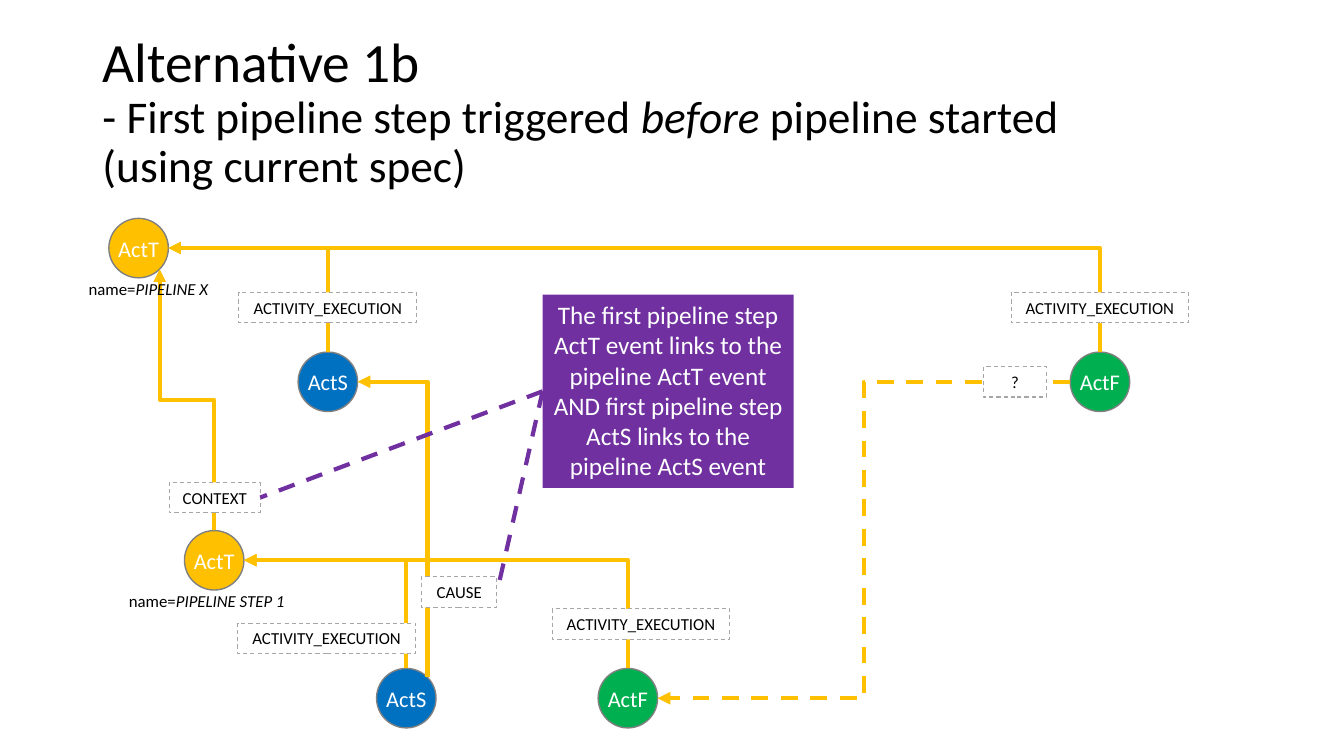
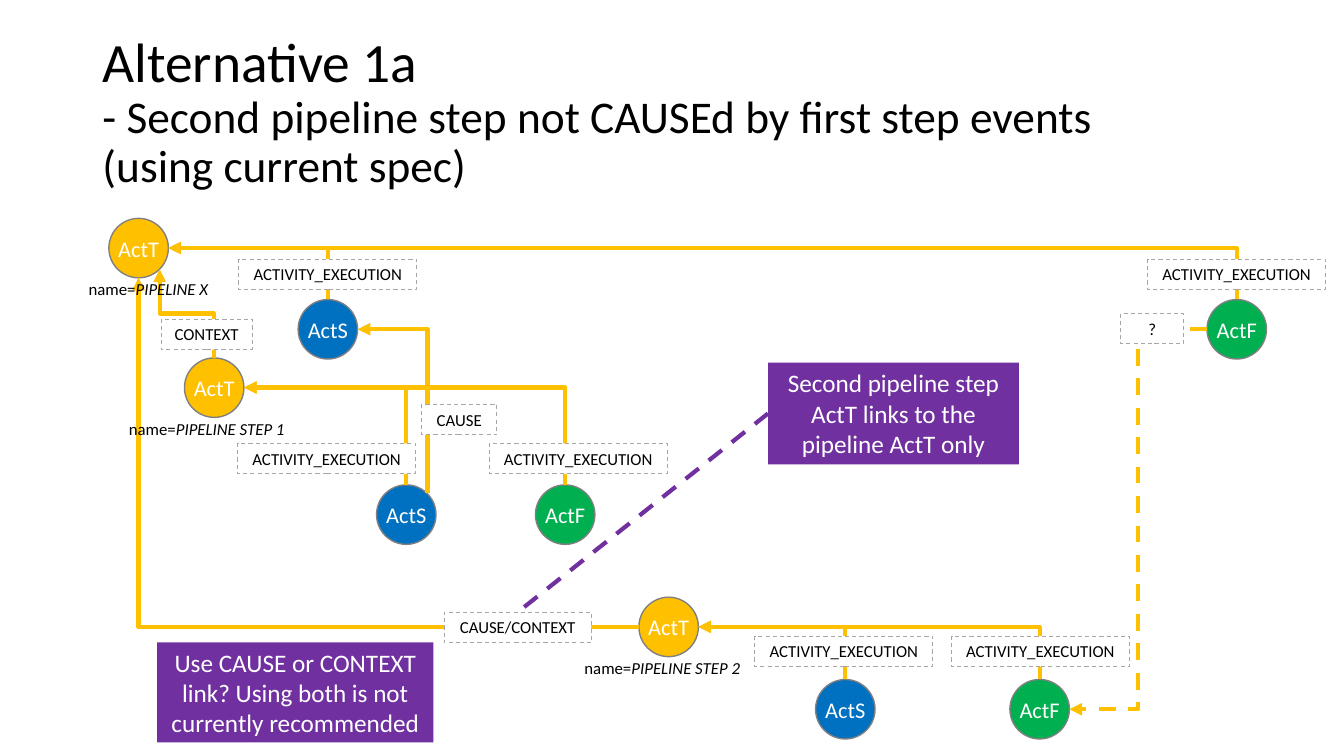
from dataclasses import dataclass
from typing import Any, NamedTuple

from lxml import etree
from pptx import Presentation
from pptx.dml.color import RGBColor
from pptx.enum.dml import MSO_LINE
from pptx.enum.shapes import MSO_CONNECTOR, MSO_SHAPE
from pptx.enum.text import MSO_ANCHOR, MSO_AUTO_SIZE, PP_ALIGN
from pptx.oxml.ns import qn
from pptx.util import Pt

CIRCLE, RECTANGLE = MSO_SHAPE.FLOWCHART_CONNECTOR, MSO_SHAPE.RECTANGLE
ELBOW, STRAIGHT = MSO_CONNECTOR.ELBOW, MSO_CONNECTOR.STRAIGHT
DASH = MSO_LINE.DASH
TOP_ANCHOR, MIDDLE = MSO_ANCHOR.TOP, MSO_ANCHOR.MIDDLE
CENTER, LEFT_ALIGN = PP_ALIGN.CENTER, PP_ALIGN.LEFT
FIT_SHAPE, FIXED = MSO_AUTO_SIZE.SHAPE_TO_FIT_TEXT, MSO_AUTO_SIZE.NONE

COLORS = {
    "ActT": "FFC000",
    "ActS": "0070C0",
    "ActF": "00B050",
    "link": "FFC000",
    "callout": "7030A0",
    "node edge": "808080",
    "label edge": "A6A6A6",
    "light": "FFFFFF",
    "dark": "000000",
}
FONT = "Calibri"
NODE_FRAME = {
    "margin_left": 0, "margin_right": 0, "margin_top": 0, "margin_bottom": 0,
    "vertical_anchor": MIDDLE, "word_wrap": False, "auto_size": FIXED,
}
BOX_FRAME = {"vertical_anchor": TOP_ANCHOR, "word_wrap": True, "auto_size": FIT_SHAPE}
CAPTION_FRAME = {"word_wrap": False, "auto_size": FIT_SHAPE}
TITLE_FRAME = {"vertical_anchor": MIDDLE, "word_wrap": True, "auto_size": FIXED}
TITLE_BOX = {"left": Pt(66), "top": Pt(28.75), "width": Pt(828), "height": Pt(104.4)}

DIAMETER = 42.5
LABEL_HEIGHT = 21.8
LINK_WIDTH = 3
HEADING_SIZE, SUBHEADING_SIZE = 39.6, 32.4
LABEL_WIDTHS = {
    "ACTIVITY_EXECUTION": 127,
    "CONTEXT": 65,
    "CAUSE": 54,
    "CAUSE/CONTEXT": 105,
    "?": 45,
}
TOP, LEFT, BOTTOM, BOTTOM_RIGHT, RIGHT, TOP_RIGHT = 0, 2, 4, 5, 6, 7
DIAGONAL = 0.71
SITE_OFFSETS = {
    TOP: (0, -1),
    LEFT: (-1, 0),
    BOTTOM: (0, 1),
    BOTTOM_RIGHT: (DIAGONAL, DIAGONAL),
    RIGHT: (1, 0),
    TOP_RIGHT: (DIAGONAL, -DIAGONAL),
}
BOX_TOP, BOX_LEFT, BOX_RIGHT = 0, 1, 3


class Point(NamedTuple):
    x: float
    y: float


class End(NamedTuple):
    activity: str
    event: str
    site: int


class Run(NamedTuple):
    text: str
    size: float
    italic: bool = False


@dataclass
class Activity:
    name: str
    caption_x: float
    caption_width: float
    events: dict[str, Point]
    labels: list[Point]


@dataclass
class Link:
    source: End
    target: End
    label: str
    label_at: Point
    dashed: bool = False


@dataclass
class Callout:
    text: str
    at: Point
    width: float
    height: float
    pointers: list[tuple[str, int]]


@dataclass
class Scenario:
    title: list[list[Run]]
    activities: list[Activity]
    links: list[Link]
    callouts: list[Callout]


def rgb(name: str) -> RGBColor:
    return RGBColor.from_string(COLORS[name])


def apply(target: Any, values: dict[str, Any]) -> None:
    for attribute, value in values.items():
        setattr(target, attribute, value)


def add_run(paragraph: Any, text: str, size: float, color: str, italic: bool = False) -> None:
    run = paragraph.add_run()
    run.text = text
    apply(run.font, {"name": FONT, "size": Pt(size), "italic": italic})
    run.font.color.rgb = rgb(color)


def add_title(slide: Any, lines: list[list[Run]]) -> None:
    frame = slide.shapes.title.text_frame
    apply(frame, TITLE_FRAME)
    paragraph = frame.paragraphs[0]
    apply(paragraph, {"alignment": LEFT_ALIGN, "line_spacing": 0.9})
    for number, line in enumerate(lines):
        for run in line:
            add_run(paragraph, run.text, run.size, "dark", run.italic)
        if number < len(lines) - 1:
            paragraph.add_line_break()
            size = str(round(line[-1].size * 100))
            etree.SubElement(frame._txBody.findall(".//" + qn("a:br"))[-1], qn("a:rPr"), sz=size)


def add_filled(slide: Any, kind: Any, at: Point, width: float, height: float, fill: str,
               frame: dict[str, Any], text: str, size: float, color: str) -> Any:
    shape = slide.shapes.add_shape(kind, Pt(at.x), Pt(at.y), Pt(width), Pt(height))
    shape.shadow.inherit = False
    shape.fill.solid()
    shape.fill.fore_color.rgb = rgb(fill)
    shape.line.fill.background()
    apply(shape.text_frame, frame)
    paragraph = shape.text_frame.paragraphs[0]
    paragraph.alignment = CENTER
    add_run(paragraph, text, size, color)
    return shape


def set_line(shape: Any, color: str, width: float, dashed: bool = False) -> None:
    shape.line.color.rgb = rgb(color)
    shape.line.width = Pt(width)
    if dashed:
        shape.line.dash_style = DASH


def add_node(slide: Any, event: str, center: Point) -> Any:
    corner = Point(center.x - DIAMETER / 2, center.y - DIAMETER / 2)
    node = add_filled(slide, CIRCLE, corner, DIAMETER, DIAMETER, event, NODE_FRAME, event, 16, "light")
    set_line(node, "node edge", 1)
    return node


def add_label(slide: Any, text: str, center: Point) -> Any:
    width = LABEL_WIDTHS[text]
    corner = Point(center.x - width / 2, center.y - LABEL_HEIGHT / 2)
    label = add_filled(slide, RECTANGLE, corner, width, LABEL_HEIGHT, "light", BOX_FRAME, text, 12, "dark")
    set_line(label, "label edge", 0.75, True)
    return label


def add_caption(slide: Any, activity: Activity) -> None:
    top = activity.events["ActT"].y + 18.4
    caption = slide.shapes.add_textbox(
        Pt(activity.caption_x), Pt(top), Pt(activity.caption_width), Pt(LABEL_HEIGHT))
    apply(caption.text_frame, CAPTION_FRAME)
    paragraph = caption.text_frame.paragraphs[0]
    add_run(paragraph, "name=", 12, "dark")
    add_run(paragraph, activity.name, 12, "dark", True)


def add_elbow(slide: Any, nodes: dict, centers: dict, source: End, target: End, dashed: bool = False) -> None:
    start, finish = [
        Point(*(c + DIAMETER / 2 * offset
                for c, offset in zip(centers[end[:2]], SITE_OFFSETS[end.site])))
        for end in (source, target)
    ]
    vertical = source.site in (TOP, TOP_RIGHT)
    width, height = abs(finish.x - start.x), abs(finish.y - start.y)
    if vertical:
        width, height = height, width
    left = (start.x + finish.x - width) / 2
    top = (start.y + finish.y - height) / 2
    first_y, last_y = top, top + height
    if vertical or finish.y > start.y:
        first_y, last_y = last_y, first_y
    link = slide.shapes.add_connector(ELBOW, Pt(left), Pt(first_y), Pt(left + width), Pt(last_y))
    properties = link.element.spPr
    properties.find(qn("a:xfrm")).set("rot", str((270 if vertical else 180) * 60000))
    one_corner = vertical == (target.site == RIGHT)
    properties.find(qn("a:prstGeom")).set("prst", "bentConnector2" if one_corner else "bentConnector3")
    set_line(link, "link", LINK_WIDTH, dashed)
    etree.SubElement(properties.find(qn("a:ln")), qn("a:tailEnd"), type="triangle")
    etree.SubElement(properties, qn("a:effectLst"))
    glue = link.element.nvCxnSpPr.cNvCxnSpPr
    for tag, end in (("a:stCxn", source), ("a:endCxn", target)):
        etree.SubElement(glue, qn(tag), id=str(nodes[end[:2]].shape_id), idx=str(end.site))


def add_callout(slide: Any, callout: Callout, labels: dict) -> None:
    box = add_filled(slide, RECTANGLE, callout.at, callout.width, callout.height,
                     "callout", BOX_FRAME, callout.text, 18, "light")
    for label, site in callout.pointers:
        pointer = slide.shapes.add_connector(STRAIGHT, 0, 0, 0, 0)
        pointer.begin_connect(box, BOX_LEFT)
        pointer.end_connect(labels[label], site)
        set_line(pointer, "callout", LINK_WIDTH, True)
        etree.SubElement(pointer.element.spPr, qn("a:effectLst"))


def build_slide(deck: Any, layout: Any, scenario: Scenario) -> None:
    slide = deck.slides.add_slide(layout)
    add_title(slide, scenario.title)
    centers = {(activity.name, event): center
               for activity in scenario.activities for event, center in activity.events.items()}
    nodes = {key: add_node(slide, key[1], center) for key, center in centers.items()}
    for activity in scenario.activities:
        for event in ("ActF", "ActS"):
            add_elbow(slide, nodes, centers, End(activity.name, event, TOP), End(activity.name, "ActT", RIGHT))
    for link in scenario.links:
        add_elbow(slide, nodes, centers, link.source, link.target, link.dashed)
    for activity in scenario.activities:
        add_caption(slide, activity)
        for center in activity.labels:
            add_label(slide, "ACTIVITY_EXECUTION", center)
    labels = {link.label: add_label(slide, link.label, link.label_at) for link in scenario.links}
    for callout in scenario.callouts:
        add_callout(slide, callout, labels)


def events(trigger: Point, start: Point, finish: Point) -> dict[str, Point]:
    return {"ActT": trigger, "ActS": start, "ActF": finish}


def shared_activities(start_y: float, finish_x: float, label_y: float, step_y: float,
                      step_end_y: float, step_finish_x: float,
                      step_label_ys: tuple[float, float]) -> list[Activity]:
    return [
        Activity(PIPELINE, 56.2, 101,
                 events(Point(99, 177.2), Point(234.2, start_y), Point(finish_x, start_y)),
                 [Point(234.2, label_y), Point(finish_x, label_y)]),
        Activity(STEP_1, 85, 127.4,
                 events(Point(153, step_y), Point(290.2, step_end_y), Point(step_finish_x, step_end_y)),
                 [Point(233.4, step_label_ys[0]), Point(step_finish_x + 9.4, step_label_ys[1])]),
    ]


def shared_links(context_at: Point, cause_at: Point, unknown_at: Point, last_step: str) -> list[Link]:
    return [
        Link(End(STEP_1, "ActT", TOP), End(PIPELINE, "ActT", BOTTOM_RIGHT), "CONTEXT", context_at),
        Link(End(PIPELINE, "ActF", LEFT), End(last_step, "ActF", RIGHT), "?", unknown_at, True),
        Link(End(STEP_1, "ActS", TOP_RIGHT), End(PIPELINE, "ActS", RIGHT), "CAUSE", cause_at),
    ]


PIPELINE, STEP_1, STEP_2 = "PIPELINE X", "PIPELINE STEP 1", "PIPELINE STEP 2"
SPEC_LINE = [Run("(using current spec)", SUBHEADING_SIZE)]
SCENARIOS = [
    Scenario(
        [[Run("Alternative 1b", HEADING_SIZE)],
         [Run("- First pipeline step triggered ", SUBHEADING_SIZE), Run("before", SUBHEADING_SIZE, True),
          Run(" pipeline started", SUBHEADING_SIZE)], SPEC_LINE],
        shared_activities(272.7, 785.7, 219.8, 400.2, 498.7, 448.5, (456, 445.8)),
        shared_links(Point(153.4, 355.4), Point(328, 423), Point(725, 272.7), STEP_1),
        [Callout("The first pipeline step ActT event links to the pipeline ActT event AND first "
                 "pipeline step ActS links to the pipeline ActS event",
                 Point(387.6, 210.4), 179.3, 138.2, [("CONTEXT", BOX_RIGHT), ("CAUSE", BOX_RIGHT)])],
    ),
    Scenario(
        [[Run("Alternative 1a", HEADING_SIZE)],
         [Run("- Second pipeline step not CAUSEd by first step events", SUBHEADING_SIZE)], SPEC_LINE],
        shared_activities(235.2, 883.4, 196, 276.9, 367.6, 403.7, (327.6, 327.6)) + [
            Activity(STEP_2, 410.4, 127.4,
                     events(Point(477.6, 447.8), Point(603.8, 506.6), Point(742.6, 506.6)),
                     [Point(602.8, 465.2), Point(743.2, 465.2)])],
        shared_links(Point(147.6, 238.8), Point(328, 299.8), Point(823, 234.8), STEP_2) + [
            Link(End(STEP_2, "ActT", LEFT), End(PIPELINE, "ActT", BOTTOM), "CAUSE/CONTEXT", Point(369.8, 448.2))],
        [Callout("Second pipeline step ActT links to the pipeline ActT only",
                 Point(548.6, 259), 179.3, 72.7, [("CAUSE/CONTEXT", BOX_TOP)]),
         Callout("Use CAUSE or CONTEXT link? Using both is not currently recommended",
                 Point(112.3, 458.8), 197.3, 71.5, [])],
    ),
]


def main() -> None:
    deck = Presentation()
    apply(deck, {"slide_width": Pt(960), "slide_height": Pt(540)})
    layout = deck.slide_layouts[5]
    apply(layout.placeholders[0], TITLE_BOX)
    for scenario in SCENARIOS:
        build_slide(deck, layout, scenario)
    deck.save("out.pptx")


if __name__ == "__main__":
    main()
